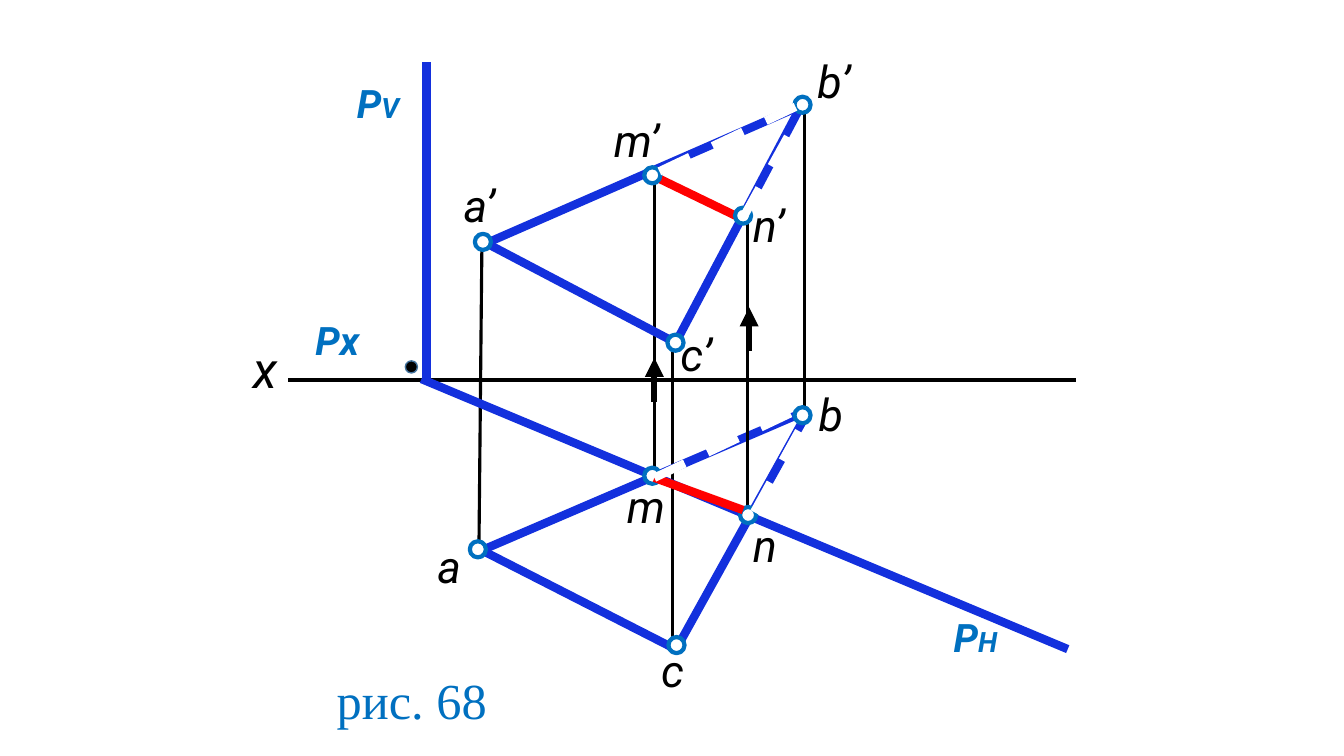
from lxml import etree
from pptx import Presentation
from pptx.dml.color import RGBColor
from pptx.enum.dml import MSO_LINE
from pptx.enum.shapes import MSO_CONNECTOR, MSO_SHAPE
from pptx.enum.text import MSO_AUTO_SIZE
from pptx.oxml.ns import qn
from pptx.util import Inches, Pt

BLACK, WHITE, RED = "000000", "FFFFFF", "FF0000"
EDGE_BLUE, LABEL_BLUE = "1330DD", "0070C0"
POINT_SIZE = 0.16

AXIS = (2.86, 3.77, 10.67, 3.77)
PLANE_TRACES = [(4.23, 3.77, 4.23, 0.62), (10.59, 6.44, 4.18, 3.76)]
PROJECTION_LINES = [
    (7.98, 4.1, 7.98, 1.02),
    (6.67, 6.47, 6.67, 3.4),
    (4.75, 5.46, 4.78, 2.39),
    (6.49, 4.69, 6.49, 1.66),
]
N_PROJECTION = (7.41, 5.1, 7.41, 2.07)
TRIANGLE_EDGES = [
    (6.67, 3.46, 7.95, 1.04),
    (4.8, 2.4, 6.72, 3.41),
    (4.83, 2.41, 7.99, 1.03),
    (4.73, 5.48, 7.97, 4.09),
    (6.69, 6.47, 8.01, 4.09),
    (4.78, 5.46, 6.72, 6.45),
]
UPPER_INTERSECTION = (7.42, 2.2, 6.47, 1.74)
LOWER_INTERSECTION = (7.37, 5.06, 6.49, 4.74)
HIDDEN_GAPS = [
    (7.37, 2.16, 7.9, 1.2),
    (6.49, 4.74, 7.84, 4.1),
    (6.54, 1.7, 7.89, 1.06),
    (7.48, 5.08, 8.01, 4.12),
]
DIRECTION_ARROWS = [(7.43, 3.48, 7.43, 3.05), (6.49, 3.99, 6.49, 3.55)]
POINTS = [
    (6.39, 4.64), (7.34, 5.03), (6.39, 1.66), (7.29, 2.06), (7.88, 0.96),
    (4.71, 2.32), (4.66, 5.37), (6.62, 3.32), (7.88, 4.04), (6.63, 6.32),
]
POINT_LABELS = [
    ("n", 7.37, 5.09, 0.73), ("m", 6.12, 4.7, 0.73),
    ("a", 4.24, 5.3, 0.6), ("c", 6.46, 6.33, 0.61),
    ("b", 8.02, 3.79, 0.69), ("a’", 4.5, 1.71, 0.6),
    ("c’", 6.65, 3.19, 0.61), ("b’", 8.01, 0.48, 0.67),
    ("m’", 5.99, 1.07, 0.73), ("n’", 7.37, 1.91, 0.73),
]
PLANE_LABELS = [
    ([("P", 28), ("H", 20)], 9.36, 6.04, 0.89),
    ([("P", 28), ("V", 20)], 3.44, 0.74, 0.89),
    ([("Px", 28)], 3.03, 3.09, 0.67),
]


def rgb(value):
    return RGBColor.from_string(value)


def add_line(slide, ends, color, width, dashed=False, arrow=False):
    line = slide.shapes.add_connector(
        MSO_CONNECTOR.STRAIGHT, *(Inches(value) for value in ends))
    line.line.color.rgb = rgb(color)
    line.line.width = Pt(width)
    if dashed:
        line.line.dash_style = MSO_LINE.DASH
    properties = line._element.spPr
    if arrow:
        outline = properties.find(qn("a:ln"))
        etree.SubElement(outline, qn("a:tailEnd"), type="triangle")
    etree.SubElement(properties, qn("a:effectLst"))


def add_circle(slide, left, top, size, fill, border, border_width):
    circle = slide.shapes.add_shape(
        MSO_SHAPE.OVAL, Inches(left), Inches(top), Inches(size), Inches(size))
    circle.shadow.inherit = False
    circle.fill.solid()
    circle.fill.fore_color.rgb = rgb(fill)
    circle.line.color.rgb = rgb(border)
    circle.line.width = Pt(border_width)


def add_label(slide, spans, left, top, width, height, color=BLACK,
              font="Roboto", bold=False, italic=True, wrap=True):
    box = slide.shapes.add_textbox(
        Inches(left), Inches(top), Inches(width), Inches(height))
    frame = box.text_frame
    frame.word_wrap = wrap
    frame.auto_size = MSO_AUTO_SIZE.SHAPE_TO_FIT_TEXT
    para = frame.paragraphs[0]
    for text, size in spans:
        span = para.add_run()
        span.text = text
        span.font.name = font
        span.font.size = Pt(size)
        span.font.bold = bold
        span.font.italic = italic
        span.font.color.rgb = rgb(color)


def draw_construction(slide):
    add_line(slide, UPPER_INTERSECTION, RED, 6)
    add_line(slide, AXIS, BLACK, 3)
    for ends in PROJECTION_LINES:
        add_line(slide, ends, BLACK, 2.25)
    for ends in PLANE_TRACES + TRIANGLE_EDGES:
        add_line(slide, ends, EDGE_BLUE, 6)
    add_line(slide, N_PROJECTION, BLACK, 2.25)
    for left, top in POINTS:
        add_circle(slide, left, top, POINT_SIZE, WHITE, LABEL_BLUE, 3)
    for ends in DIRECTION_ARROWS:
        add_line(slide, ends, BLACK, 4.5, arrow=True)


def draw_labels(slide):
    add_label(slide, [("x", 36)], 2.41, 3.31, 0.43, 0.71)
    for spans, left, top, width in PLANE_LABELS:
        add_label(slide, spans, left, top, width, 0.57, LABEL_BLUE, bold=True)
    for text, left, top, width in POINT_LABELS:
        add_label(slide, [(text, 32)], left, top, width, 0.64)
    add_label(slide, [("рис. 68", 36)], 3.24, 6.59, 1.71, 0.71, LABEL_BLUE,
              font="Times New Roman", italic=False, wrap=False)


def draw_overlays(slide):
    add_circle(slide, 4.02, 3.58, 0.12, BLACK, "43739E", 1)
    add_line(slide, LOWER_INTERSECTION, RED, 6)
    for ends in HIDDEN_GAPS:
        add_line(slide, ends, WHITE, 6, dashed=True)


def main():
    deck = Presentation()
    deck.slide_width = Inches(13.33)
    deck.slide_height = Inches(7.5)
    slide = deck.slides.add_slide(deck.slide_layouts[6])
    draw_construction(slide)
    draw_labels(slide)
    draw_overlays(slide)
    deck.save("out.pptx")


if __name__ == "__main__":
    main()
